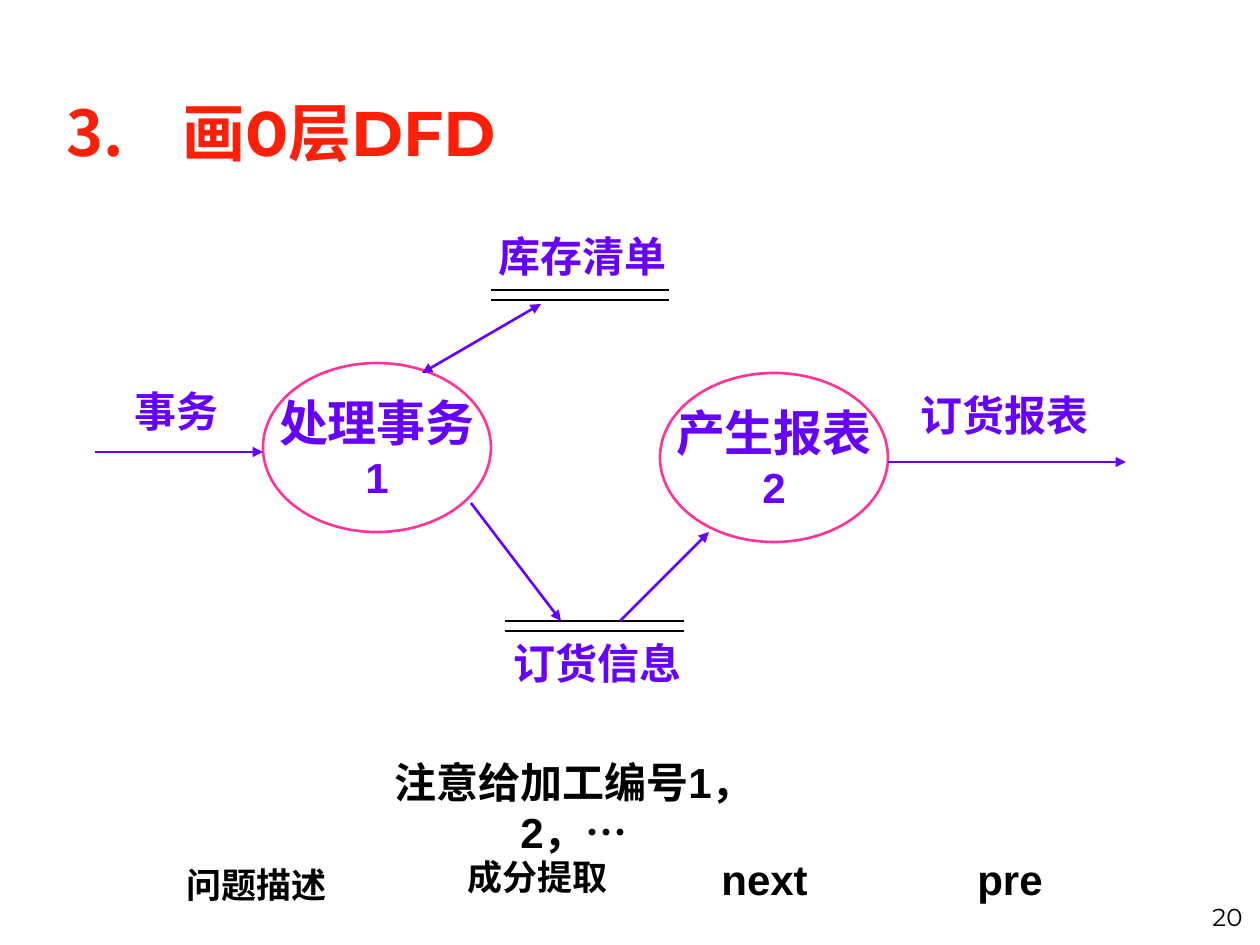
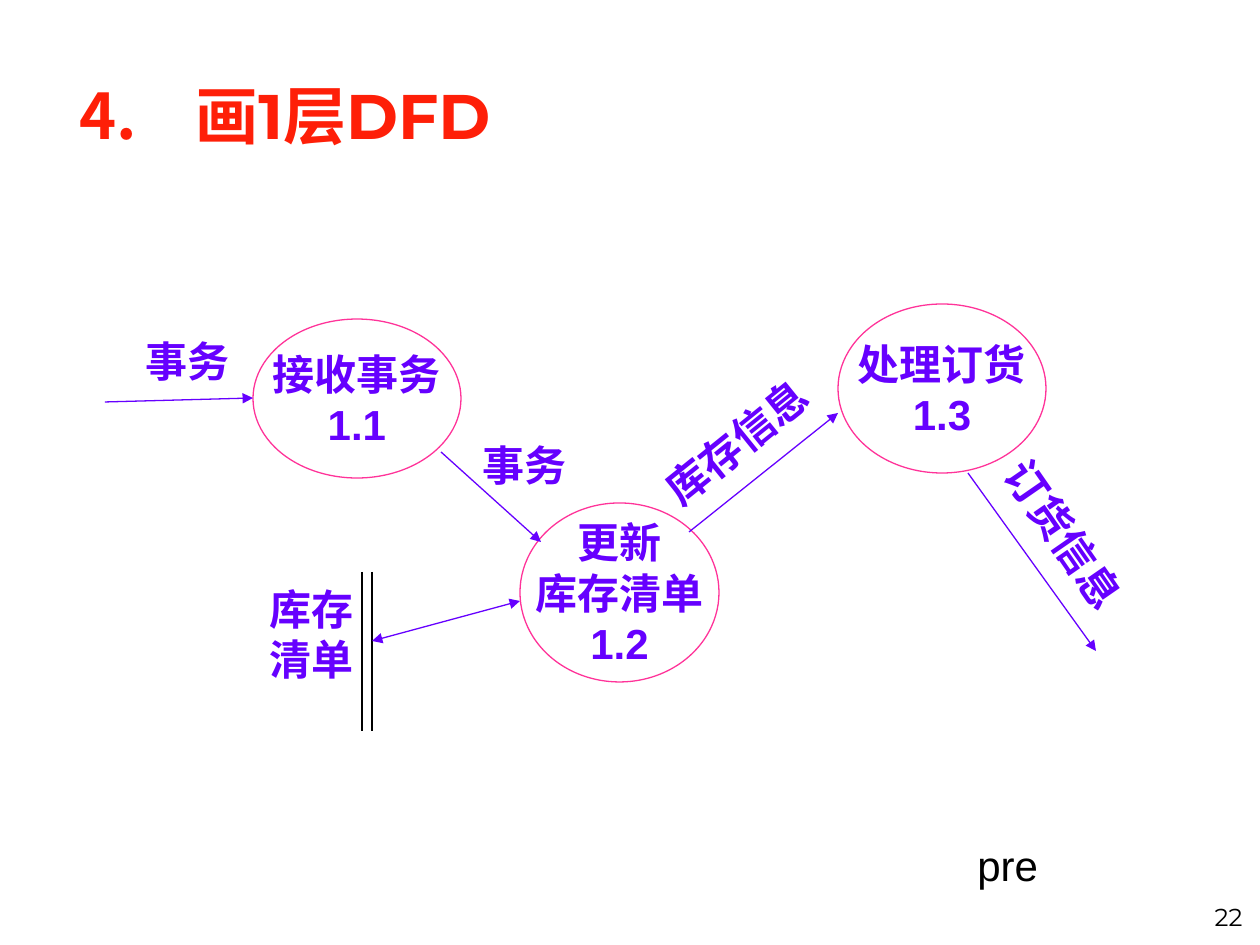
import pptx
import pptx.util
import pptx.dml.color
import pptx.enum.lang
import pptx.enum.shapes
import pptx.enum.text
import pptx.oxml.ns
from lxml import etree

PX = 914400 / 126
COLORS = {"title": "FE1F08", "flow": "6600FF", "process": "FF3399", "ink": "000000"}
BODY_FONT, TITLE_FONT = "Arial", "Montserrat"
STORE_GAP = 10
ALIGN = pptx.enum.text.PP_ALIGN
ANCHOR = pptx.enum.text.MSO_ANCHOR
AUTO_SIZE = pptx.enum.text.MSO_AUTO_SIZE
CHINESE = pptx.enum.lang.MSO_LANGUAGE_ID.SIMPLIFIED_CHINESE
# Wide enough for two and four characters on one line
LABEL_SIZE = (114, 63)
WIDE_LABEL_SIZE = (197, 63)


def px(*lengths):
    return [pptx.util.Emu(round(length * PX)) for length in lengths]


def rgb(name):
    return pptx.dml.color.RGBColor.from_string(COLORS[name])


def add_node(parent, tag, **attributes):
    return etree.SubElement(parent, pptx.oxml.ns.qn(tag), **attributes)


def write(frame, text, sizes, color, bold=True, align=ALIGN.CENTER, font=BODY_FONT):
    """Fill the frame; sizes holds one point size per paragraph."""
    frame.text = text
    for paragraph, size in zip(frame.paragraphs, sizes):
        paragraph.alignment = align
        for run in paragraph.runs:
            run.font.name = font
            run.font.size = pptx.util.Pt(size)
            run.font.bold = bold
            run.font.color.rgb = rgb(color)
            run.font.language_id = CHINESE


def add_label(slide, text, corner, size, points=24, color="flow", bold=True,
              align=ALIGN.CENTER, wrap=False, angle=0):
    label = slide.shapes.add_textbox(*px(*corner, *size))
    label.rotation = angle
    label.text_frame.word_wrap = wrap
    label.text_frame.auto_size = AUTO_SIZE.NONE
    lines = text.count("\n") + 1
    write(label.text_frame, text, [points] * lines, color, bold, align)


def add_title(slide, text, number, box):
    title = slide.shapes.add_textbox(*px(*box))
    frame = title.text_frame
    frame.word_wrap = True
    frame.vertical_anchor = ANCHOR.MIDDLE
    write(frame, text, [36], "title", align=ALIGN.LEFT, font=TITLE_FONT)
    # Hanging number in the title colour
    properties = frame.paragraphs[0]._p.get_or_add_pPr()
    indent = pptx.util.Inches(0.92)
    properties.set("marL", str(indent))
    properties.set("indent", str(-indent))
    bullet_color = add_node(properties, "a:buClr")
    add_node(bullet_color, "a:srgbClr", val=COLORS["title"])
    add_node(properties, "a:buAutoNum", type="arabicPeriod", startAt=str(number))


def add_page_number(slide, number):
    page = slide.shapes.add_textbox(*px(993, 896, 262, 38))
    page.text_frame.word_wrap = True
    write(page.text_frame, str(number), [14], "ink", False, ALIGN.RIGHT, TITLE_FONT)


def add_process(slide, text, box, weight, sizes):
    process = slide.shapes.add_shape(pptx.enum.shapes.MSO_SHAPE.OVAL, *px(*box))
    process.shadow.inherit = False
    process.fill.background()
    process.line.color.rgb = rgb("process")
    process.line.width = pptx.util.Pt(weight)
    process.text_frame.word_wrap = False
    process.text_frame.vertical_anchor = ANCHOR.MIDDLE
    write(process.text_frame, text, sizes, "flow")


def add_line(slide, start, end, weight, color, arrows=()):
    line = slide.shapes.add_connector(
        pptx.enum.shapes.MSO_CONNECTOR.STRAIGHT, *px(*start, *end))
    line.line.color.rgb = rgb(color)
    line.line.width = pptx.util.Pt(weight)
    outline = line.line._get_or_add_ln()
    for arrow in arrows:
        add_node(outline, arrow, type="triangle")
    add_node(line._element.spPr, "a:effectLst")


def add_flow(slide, start, end, weight, both_ways=False):
    arrows = ("a:headEnd", "a:tailEnd") if both_ways else ("a:tailEnd",)
    add_line(slide, start, end, weight, "flow", arrows)


def add_store(slide, start, end, weight):
    """Data store: two parallel lines, upright or level."""
    upright = start[0] == end[0]
    shift_x, shift_y = (STORE_GAP, 0) if upright else (0, STORE_GAP)
    for step in range(2):
        shifted = [(x + step * shift_x, y + step * shift_y) for x, y in (start, end)]
        add_line(slide, *shifted, weight, "ink")


def build_level_0(slide):
    weight = 1.5
    add_page_number(slide, 20)
    add_title(slide, "画0层DFD", 3, (54, 76, 1142, 110))

    # Processes
    for text, corner in (("处理事务\n1", (263, 363)), ("产生报表\n2", (660, 373))):
        add_process(slide, text, (*corner, 228, 169), weight, (28, 24))

    # Data stores
    add_store(slide, (491, 290), (669, 290), weight)
    add_store(slide, (505, 621), (684, 621), weight)

    # Data flows
    for start, end in (((95, 452), (263, 452)), ((888, 462), (1126, 462)),
                       ((471, 503), (561, 621)), ((620, 621), (709, 532))):
        add_flow(slide, start, end, weight)
    add_flow(slide, (422, 373), (541, 304), weight, both_ways=True)

    # Names of flows and stores
    add_label(slide, "事务", (120, 379), LABEL_SIZE)
    for text, corner in (("订货报表", (906, 383)), ("库存清单", (484, 224)),
                         ("订货信息", (499, 631))):
        add_label(slide, text, corner, WIDE_LABEL_SIZE)

    # Note and navigation words
    add_label(slide, "注意给加工编号1，2，…", (361, 750), (426, 113),
              color="ink", wrap=True)
    for text, corner, size, points in (
            ("问题描述", (174, 857), (172, 55), 20),
            ("成分提取", (455, 849), (172, 55), 20),
            ("next", (709, 847), (118, 63), 24),
            ("pre", (965, 847), (98, 63), 24)):
        add_label(slide, text, corner, size, points, "ink", align=ALIGN.LEFT)


def build_level_1(slide):
    weight = 0.75
    add_page_number(slide, 22)
    add_title(slide, "画1层DFD", 4, (67, 66, 1106, 96))

    # Processes
    for text, box in (("接收事务\n1.1", (253, 319, 208, 159)),
                      ("更新\n库存清单\n1.2", (520, 503, 199, 179)),
                      ("处理订货\n1.3", (838, 304, 208, 169))):
        add_process(slide, text, box, weight, (24, 24, 24))

    # Data store
    add_store(slide, (362, 572), (362, 731), weight)

    # Data flows
    for start, end in (((105, 402), (253, 398)), ((441, 452), (541, 542)),
                       ((689, 532), (838, 413)), ((968, 473), (1096, 651))):
        add_flow(slide, start, end, weight)
    add_flow(slide, (372, 641), (520, 601), weight, both_ways=True)

    # Names of flows and store
    for text, corner, size, angle in (
            ("事务", (131, 329), LABEL_SIZE, 0),
            ("事务", (468, 433), LABEL_SIZE, 0),
            ("库存信息", (638, 410), WIDE_LABEL_SIZE, 321),
            ("订货信息", (966, 503), WIDE_LABEL_SIZE, 55.3),
            ("库存\n清单", (255, 577), (114, 113), 0)):
        add_label(slide, text, corner, size, angle=angle)

    # Navigation word
    add_label(slide, "pre", (965, 833), (98, 63), color="ink", bold=False,
              align=ALIGN.LEFT)


def main():
    deck = pptx.Presentation()
    deck.slide_width, deck.slide_height = px(1260, 945)
    blank = deck.slide_layouts[6]
    for build in (build_level_0, build_level_1):
        build(deck.slides.add_slide(blank))
    deck.save("out.pptx")


if __name__ == "__main__":
    main()
